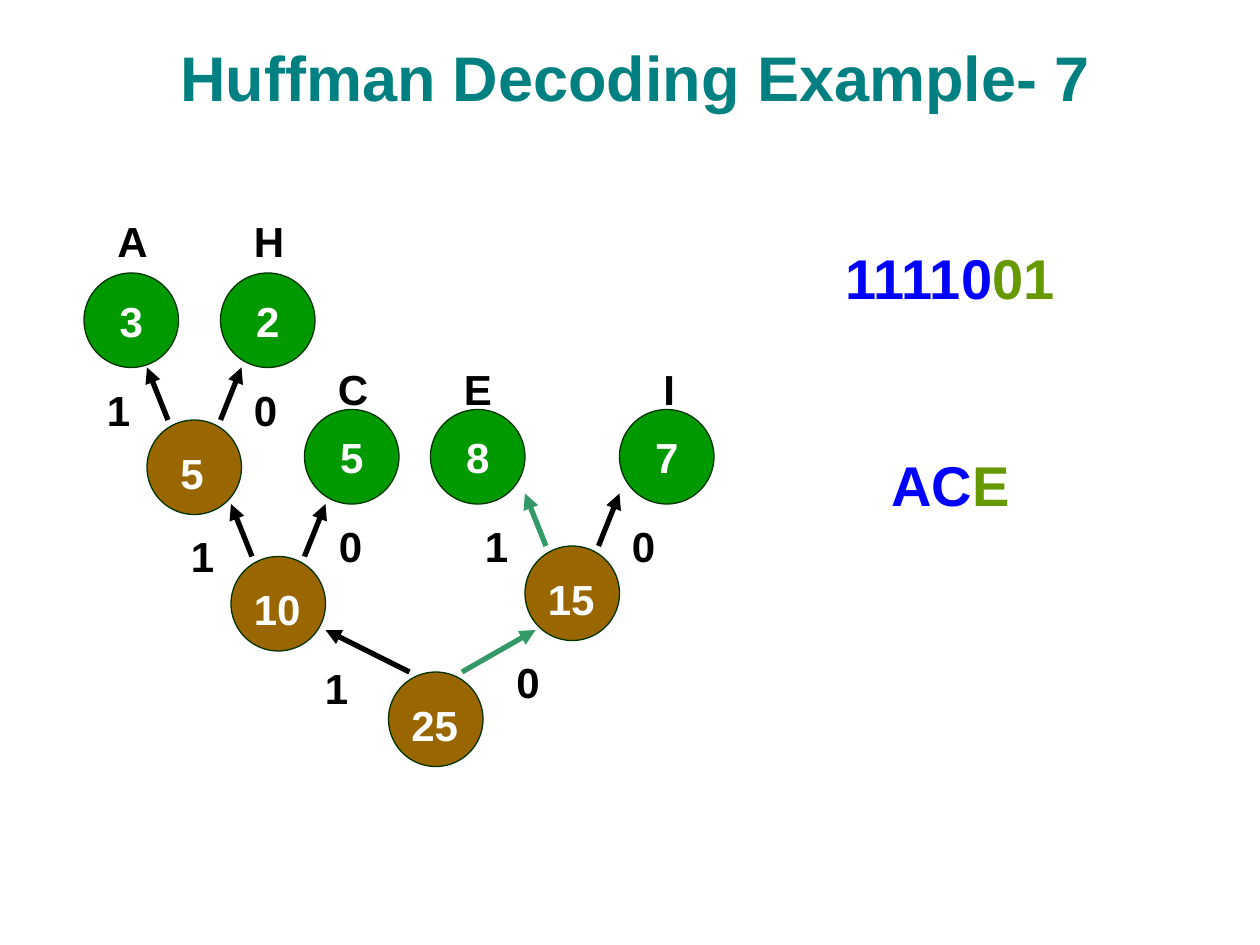
from dataclasses import dataclass

from lxml import etree
from pptx import Presentation
from pptx.dml.color import RGBColor
from pptx.enum.shapes import MSO_CONNECTOR, MSO_SHAPE
from pptx.enum.text import MSO_ANCHOR, PP_ALIGN
from pptx.oxml.ns import qn
from pptx.util import Pt

OVAL = MSO_SHAPE.OVAL
STRAIGHT = MSO_CONNECTOR.STRAIGHT
CENTER = PP_ALIGN.CENTER
LEFT = PP_ALIGN.LEFT
BOTTOM = MSO_ANCHOR.BOTTOM
MIDDLE = MSO_ANCHOR.MIDDLE

FONT = "Arial"
BLACK, WHITE, TEAL = "000000", "FFFFFF", "008080"
LEAF_GREEN, BRANCH_BROWN, OUTLINE = "009900", "996600", "003300"
PATH_GREEN, DONE_BLUE, CURRENT_GREEN = "339966", "0000FF", "669900"
NODE_SIZE = 54
TEXT_SIZE = 24
TEXT_HEIGHT = 36
EDGE_INSET = 12


@dataclass
class Leaf:
    symbol: str
    weight: str
    left: float
    top: float
    symbol_width: float
    symbol_shift: float = 12
    symbol_rise: float = 30


@dataclass
class Edge:
    bit: str
    run: float
    rise: float
    bit_left: float
    bit_top: float
    color: str = BLACK


@dataclass
class Branch:
    weight: str
    left: float
    top: float
    weight_shift: float
    weight_width: float
    edges: tuple[Edge, Edge]


LEAVES = [
    Leaf("A", "3", 48, 156, 31.7, symbol_rise=36.5),
    Leaf("C", "5", 174, 234, 31.7),
    Leaf("E", "8", 246, 234, 30.4),
    Leaf("H", "2", 126, 156, 31.7, symbol_rise=36.5),
    Leaf("I", "7", 354, 234, 21.1, symbol_shift=18),
]
BRANCHES = [
    Branch("5", 84, 240, 12, 27.7,
           (Edge("1", -12, 30, 54, 216), Edge("0", 12, 30, 138, 216))),
    Branch("10", 132, 318, 6, 41,
           (Edge("1", -12, 30, 102, 299.5), Edge("0", 12, 30, 186.5, 294))),
    Branch("15", 300, 312, 6, 41,
           (Edge("1", -12, 30, 270, 294, PATH_GREEN), Edge("0", 12, 30, 354, 294))),
    Branch("25", 222, 384, 6, 41,
           (Edge("1", -48, 24, 178.5, 375), Edge("0", 42, 24, 288, 371.5, PATH_GREEN))),
]


def rgb(color: str) -> RGBColor:
    return RGBColor.from_string(color)


def style_run(run, size: float, color: str) -> None:
    run.font.name = FONT
    run.font.size = Pt(size)
    run.font.bold = True
    run.font.color.rgb = rgb(color)


def write(shape, text: str, size: float, color: str, alignment) -> None:
    shape.text_frame.text = text
    paragraph = shape.text_frame.paragraphs[0]
    paragraph.alignment = alignment
    style_run(paragraph.runs[0], size, color)


def add_label(slide, text: str, left: float, top: float, width: float,
              color: str = BLACK) -> None:
    label = slide.shapes.add_textbox(Pt(left), Pt(top), Pt(width), Pt(TEXT_HEIGHT))
    label.text_frame.word_wrap = False
    write(label, text, TEXT_SIZE, color, LEFT)


def add_node(slide, left: float, top: float, color: str):
    node = slide.shapes.add_shape(OVAL, Pt(left), Pt(top), Pt(NODE_SIZE), Pt(NODE_SIZE))
    node.shadow.inherit = False
    node.fill.solid()
    node.fill.fore_color.rgb = rgb(color)
    node.line.color.rgb = rgb(OUTLINE)
    node.line.width = Pt(0.75)
    return node


def add_leaf(slide, leaf: Leaf) -> None:
    node = add_node(slide, leaf.left, leaf.top, LEAF_GREEN)
    node.text_frame.word_wrap = False
    node.text_frame.vertical_anchor = MIDDLE
    write(node, leaf.weight, TEXT_SIZE, WHITE, CENTER)
    add_label(slide, leaf.symbol, leaf.left + leaf.symbol_shift,
              leaf.top - leaf.symbol_rise, leaf.symbol_width)


def add_edge(slide, edge: Edge, left: float, top: float) -> None:
    arrow = slide.shapes.add_connector(
        STRAIGHT, Pt(left), Pt(top), Pt(left + edge.run), Pt(top - edge.rise))
    arrow.line.color.rgb = rgb(edge.color)
    arrow.line.width = Pt(3)
    properties = arrow.line._get_or_add_ln()
    etree.SubElement(properties, qn("a:tailEnd"), type="triangle")
    etree.SubElement(properties.getparent(), qn("a:effectLst"))
    add_label(slide, edge.bit, edge.bit_left, edge.bit_top, 27.7)


def add_branch(slide, branch: Branch) -> None:
    add_node(slide, branch.left, branch.top, BRANCH_BROWN)
    add_label(slide, branch.weight, branch.left + branch.weight_shift,
              branch.top + 12, branch.weight_width, WHITE)
    starts = (EDGE_INSET, NODE_SIZE - EDGE_INSET)
    for edge, start in zip(branch.edges, starts):
        add_edge(slide, edge, branch.left + start, branch.top)


def add_title(slide) -> None:
    title = slide.shapes.add_textbox(Pt(24), Pt(12), Pt(678), Pt(57))
    title.text_frame.word_wrap = True
    title.text_frame.vertical_anchor = BOTTOM
    write(title, "Huffman Decoding Example- 7", 36, TEAL, CENTER)


def add_decoding(slide) -> None:
    box = slide.shapes.add_textbox(Pt(408), Pt(135.5), Pt(270), Pt(159))
    frame = box.text_frame
    frame.word_wrap = True
    bits, symbols = frame.paragraphs[0], frame.add_paragraph()
    symbols.space_before = Pt(80)
    for paragraph, done, current in ((bits, "11110", "01"), (symbols, "AC", "E")):
        paragraph.alignment = CENTER
        for text, color in ((done, DONE_BLUE), (current, CURRENT_GREEN)):
            run = paragraph.add_run()
            run.text = text
            style_run(run, 32, color)


def main() -> None:
    presentation = Presentation()
    presentation.slide_width = Pt(720)
    presentation.slide_height = Pt(540)
    slide = presentation.slides.add_slide(presentation.slide_layouts[6])
    add_title(slide)
    for leaf in LEAVES:
        add_leaf(slide, leaf)
    for branch in BRANCHES:
        add_branch(slide, branch)
    add_decoding(slide)
    presentation.save("out.pptx")


if __name__ == "__main__":
    main()
